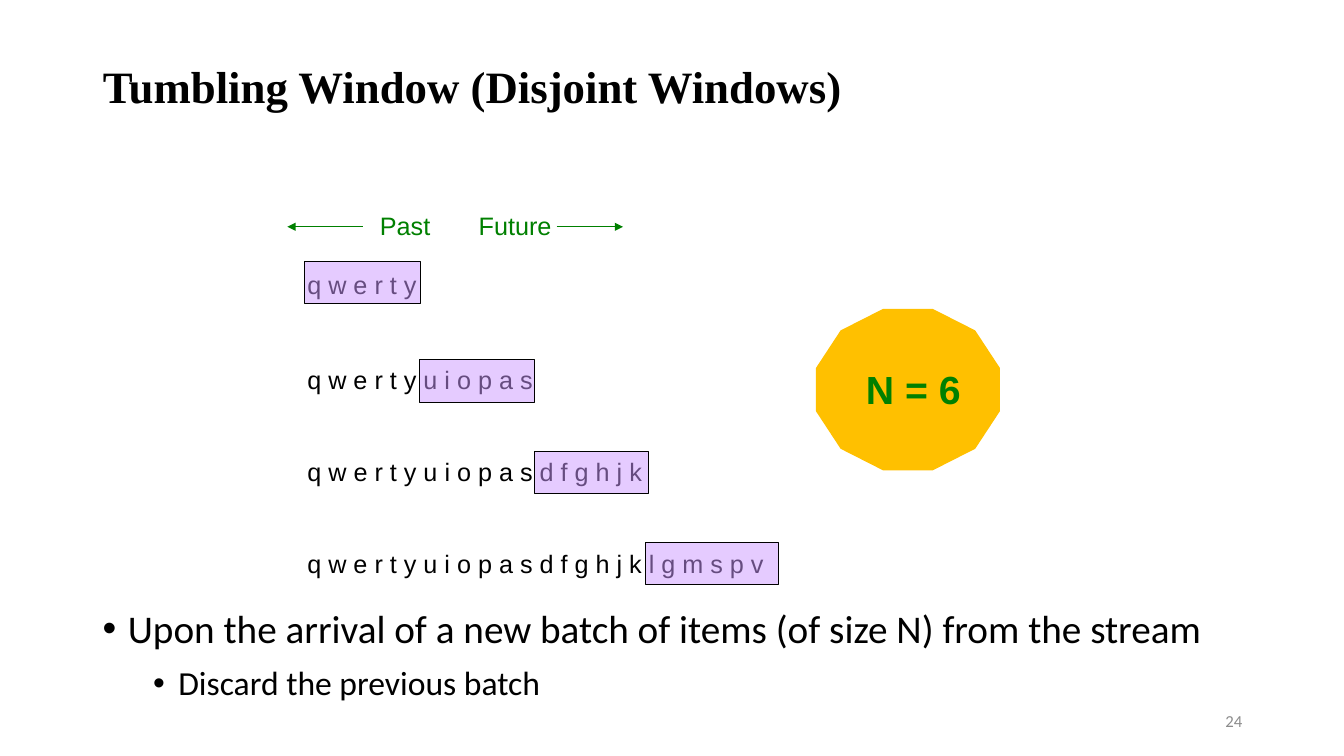
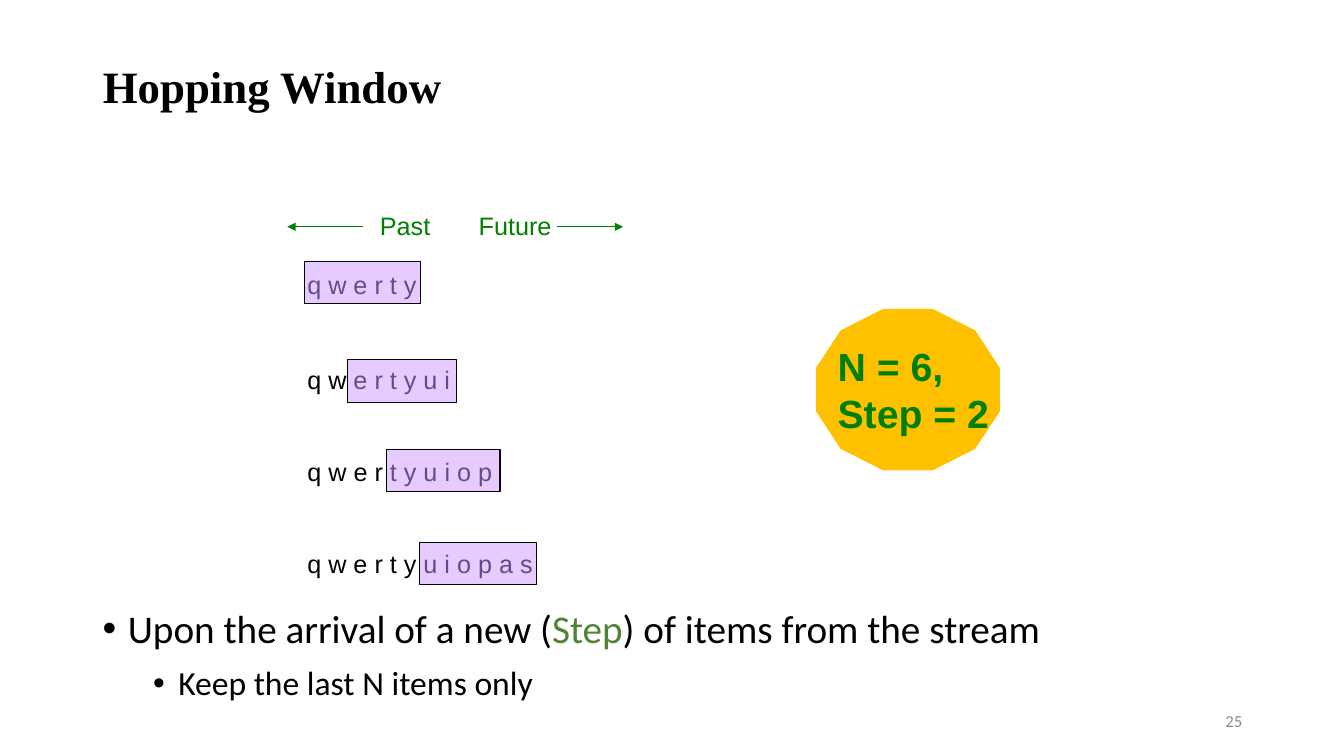
"""Build two slides that compare tumbling and hopping windows over a stream."""
import collections

import lxml.etree
import pptx
import pptx.dml.color
import pptx.enum.shapes
import pptx.enum.text
import pptx.oxml.ns
import pptx.util

Inches = pptx.util.Inches
Pt = pptx.util.Pt
qn = pptx.oxml.ns.qn
ALIGN = pptx.enum.text.PP_ALIGN
ANCHOR = pptx.enum.text.MSO_ANCHOR
SHAPE = pptx.enum.shapes.MSO_SHAPE

BLACK, GREEN, STEP_GREEN = "000000", "008000", "548235"
LILAC, GOLD, GREY = "CC99FF", "FFC000", "8C8C8C"
FIRST_NUMBER = 24
STREAM = "qwertyuiopasdfghjklgmspv"
ROW_LEFT, ROW_TOPS, ROW_HEIGHT = 2.95, (2.62, 3.57, 4.48, 5.39), 0.4
WINDOW_HEIGHT = 0.42
TIME_LABELS = [("Past", 3.67, 0.8), ("Future", 4.65, 1.1)]
ARROW_Y = 2.25
ARROWS = [(3.6, 2.85), (5.52, 6.18)]

Row = collections.namedtuple("Row", "letters text_width window_left window_top window_width")

SLIDES = [
    {
        "title": "Tumbling Window (Disjoint Windows)",
        "rows": [
            Row(6, 1.3, 3.02, 2.59, 1.15),
            Row(12, 2.46, 4.16, 3.57, 1.14),
            Row(18, 3.55, 5.3, 4.48, 1.13),
            Row(24, 4.73, 6.4, 5.38, 1.32),
        ],
        "badge": ["N = 6"],
        "badge_at": (8.49, 3.58, 1.15, 0.57),
        "body_width": 11.33,
        "point": [("Upon the arrival of a new batch of items (of size N) from the stream", BLACK)],
        "detail": [("Discard the previous batch", BLACK)],
    },
    {
        "title": "Hopping Window",
        "rows": [
            Row(6, 1.3, 3.02, 2.59, 1.15),
            Row(8, 1.7, 3.45, 3.57, 1.08),
            Row(10, 2.05, 3.83, 4.46, 1.13),
            Row(12, 2.46, 4.16, 5.38, 1.16),
        ],
        "badge": ["N = 6,", "Step = 2"],
        "badge_at": (8.21, 3.35, 1.83, 1.04),
        "body_width": 10.9,
        "point": [
            ("Upon the arrival of a new (", BLACK),
            ("Step", STEP_GREEN),
            (") of items from the stream", BLACK),
        ],
        "detail": [("Keep the last N items only", BLACK)],
    },
]


def rgb(colour):
    """Turn a hex string into a colour."""
    return pptx.dml.color.RGBColor.from_string(colour)


def style(span, name, size, colour, bold=False):
    """Format one run."""
    span.font.name = name
    span.font.size = Pt(size)
    span.font.bold = bold
    span.font.color.rgb = rgb(colour)


def add_text(shapes, at, lines, size, colour, name="Arial", bold=False, wrap=True):
    """Add a text box with one paragraph a line and return its frame."""
    frame = shapes.add_textbox(*map(Inches, at)).text_frame
    frame.text = "\n".join(lines)
    frame.word_wrap = wrap
    for para in frame.paragraphs:
        for span in para.runs:
            style(span, name, size, colour, bold)
    return frame


def add_box(shapes, kind, at, fill, line, line_width, opacity=100):
    """Add a filled and outlined shape."""
    box = shapes.add_shape(kind, *map(Inches, at))
    box.shadow.inherit = False
    box.fill.solid()
    box.fill.fore_color.rgb = rgb(fill)
    if opacity < 100:
        tint = box._element.spPr.find(qn("a:solidFill")).find(qn("a:srgbClr"))
        lxml.etree.SubElement(tint, qn("a:alpha"), val=str(opacity * 1000))
    box.line.color.rgb = rgb(line)
    box.line.width = Pt(line_width)


def add_arrow(page, start, end):
    """Add a horizontal green arrow."""
    arrow = page.shapes.add_connector(
        pptx.enum.shapes.MSO_CONNECTOR.STRAIGHT,
        Inches(start), Inches(ARROW_Y), Inches(end), Inches(ARROW_Y))
    arrow.line.color.rgb = rgb(GREEN)
    arrow.line.width = Pt(0.75)
    properties = arrow._element.spPr
    lxml.etree.SubElement(properties.find(qn("a:ln")), qn("a:tailEnd"), type="triangle")
    lxml.etree.SubElement(properties, qn("a:effectLst"))


def add_title(page, text):
    """Place and format the title placeholder."""
    title = page.shapes.title
    title.left, title.top, title.width, title.height = map(Inches, (0.92, 0.4, 11.5, 0.97))
    frame = title.text_frame
    frame.text = text
    frame.auto_size = pptx.enum.text.MSO_AUTO_SIZE.NONE
    frame.vertical_anchor = ANCHOR.MIDDLE
    para = frame.paragraphs[0]
    para.alignment = ALIGN.LEFT
    para.line_spacing = 0.9
    style(para.runs[0], "Times New Roman", 32, BLACK, True)


def add_row(page, row, top):
    """Add the letters seen so far with the current window over them."""
    shapes = page.shapes.add_group_shape().shapes
    add_text(shapes, (ROW_LEFT, top, row.text_width, ROW_HEIGHT),
             [" ".join(STREAM[:row.letters])], 18, BLACK, wrap=False)
    window_at = (row.window_left, row.window_top, row.window_width, WINDOW_HEIGHT)
    add_box(shapes, SHAPE.RECTANGLE, window_at, LILAC, BLACK, 0.75, 50)


def add_bullet(para, level, spans, size):
    """Fill a paragraph with coloured runs behind a bullet."""
    para.level = level
    properties = para._p.get_or_add_pPr()
    properties.set("marL", str(Inches(0.25 + 0.5 * level)))
    properties.set("indent", str(Inches(-0.25)))
    lxml.etree.SubElement(properties, qn("a:buFont"), typeface="Arial")
    lxml.etree.SubElement(properties, qn("a:buChar"), char="•")
    para.line_spacing = 1.1
    for text, colour in spans:
        span = para.add_run()
        span.text = text
        style(span, "Calibri", size, colour)


def add_body(page, content):
    """Add the point and its detail below the rows."""
    at = (0.92, 5.9, content["body_width"], 1.1)
    frame = page.shapes.add_textbox(*map(Inches, at)).text_frame
    frame.word_wrap = True
    add_bullet(frame.paragraphs[0], 0, content["point"], 28)
    detail = frame.add_paragraph()
    add_bullet(detail, 1, content["detail"], 24)
    detail.space_before = Pt(5)


def add_slide(deck, number, content):
    """Build one slide."""
    page = deck.slides.add_slide(deck.slide_layouts[5])
    add_title(page, content["title"])
    for row, top in zip(content["rows"], ROW_TOPS):
        add_row(page, row, top)
    for label, left, width in TIME_LABELS:
        add_text(page.shapes, (left, 2.04, width, 0.4), [label], 18, GREEN)
    for start, end in ARROWS:
        add_arrow(page, start, end)
    add_box(page.shapes, SHAPE.DODECAGON, (8.1, 3.07, 1.81, 1.59), GOLD, GOLD, 1)
    add_text(page.shapes, content["badge_at"], content["badge"], 28, GREEN,
             bold=True, wrap=False)
    add_body(page, content)
    footer = add_text(page.shapes, (9.42, 6.95, 3, 0.4), [str(number)], 12, GREY, "Calibri")
    footer.vertical_anchor = ANCHOR.MIDDLE
    footer.paragraphs[0].alignment = ALIGN.RIGHT


def main():
    """Build and save the deck."""
    deck = pptx.Presentation()
    deck.slide_width, deck.slide_height = Inches(13.33), Inches(7.5)
    for number, content in enumerate(SLIDES, FIRST_NUMBER):
        add_slide(deck, number, content)
    deck.save("out.pptx")


if __name__ == "__main__":
    main()
